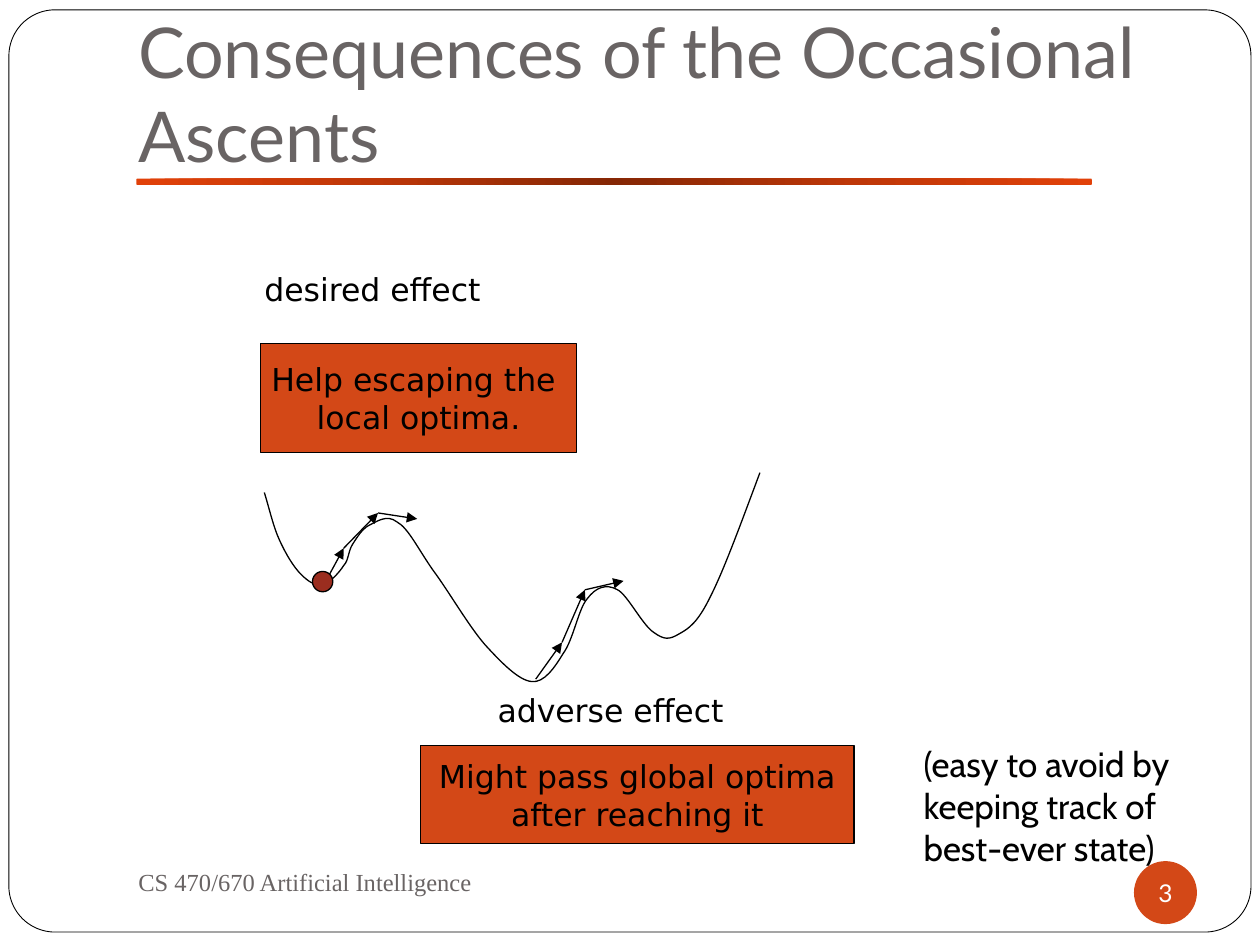
import itertools

import lxml.etree
import pptx
import pptx.dml.color
import pptx.enum.shapes
import pptx.enum.text
import pptx.oxml
import pptx.oxml.ns
import pptx.util

Cm, Pt = pptx.util.Cm, pptx.util.Pt
Shape = pptx.enum.shapes.MSO_SHAPE
Align = pptx.enum.text.PP_ALIGN
Anchor = pptx.enum.text.MSO_ANCHOR
qn = pptx.oxml.ns.qn

BLACK, WHITE, GRAY, ORANGE, RED = "000000", "FFFFFF", "696464", "D34817", "9B2D1F"

# Valley curve in cm: a start point, then two handles and an end per segment
CURVE_START = (5.33, 9.93)
CURVE = [
    ((5.44, 10.29), (5.51, 10.62), (5.64, 10.9)),
    ((5.77, 11.18), (5.92, 11.43), (6.07, 11.58)),
    ((6.22, 11.73), (6.35, 11.81), (6.5, 11.79)),
    ((6.63, 11.76), (6.83, 11.56), (6.93, 11.4)),
    ((7.04, 11.28), (7.01, 11.13), (7.11, 10.97)),
    ((7.19, 10.85), (7.29, 10.67), (7.44, 10.59)),
    ((7.59, 10.52), (7.8, 10.36), (8, 10.52)),
    ((8.23, 10.64), (8.43, 11.07), (8.74, 11.51)),
    ((9.04, 11.91), (9.45, 12.62), (9.78, 13)),
    ((10.11, 13.36), (10.46, 13.72), (10.72, 13.74)),
    ((10.97, 13.77), (11.18, 13.46), (11.35, 13.18)),
    ((11.56, 12.9), (11.66, 12.27), (11.84, 12.07)),
    ((12.01, 11.84), (12.22, 11.76), (12.45, 11.89)),
    ((12.65, 11.99), (12.95, 12.6), (13.18, 12.75)),
    ((13.39, 12.9), (13.49, 12.9), (13.69, 12.78)),
    ((13.89, 12.67), (14.07, 12.55), (14.33, 12.01)),
    ((14.6, 11.48), (14.96, 10.49), (15.32, 9.53)),
]
ASCENTS = [
    [(6.5, 11.84), (6.93, 11.05), (7.62, 10.34), (8.41, 10.46)],
    [(10.8, 13.69), (11.33, 12.95), (11.79, 11.89), (12.57, 11.71)],
]


def color(value):
    return pptx.dml.color.RGBColor.from_string(value)


def write(shape, text, *, font="DejaVu Sans", size=18, ink=BLACK, align=Align.LEFT,
          anchor=Anchor.TOP, wrap=False, grow=False, insets=(0.25, 0.13, 0.25, 0.13)):
    frame = shape.text_frame
    frame.word_wrap = wrap
    frame.vertical_anchor = anchor
    if grow:
        frame.auto_size = pptx.enum.text.MSO_AUTO_SIZE.SHAPE_TO_FIT_TEXT
    (frame.margin_left, frame.margin_top,
     frame.margin_right, frame.margin_bottom) = map(Cm, insets)
    for index, line in enumerate(text.split("\n")):
        para = frame.add_paragraph() if index else frame.paragraphs[0]
        para.alignment = align
        span = para.add_run()
        span.text = line
        span.font.name = font
        span.font.size = Pt(size)
        span.font.color.rgb = color(ink)


class Painter:
    line_width = 0.75

    def __init__(self, page):
        self.page = page

    def outline(self, shape, width=None):
        shape.line.color.rgb = color(BLACK)
        shape.line.width = Pt(width or self.line_width)

    def shape(self, kind, box, fill, line=True, width=None):
        shape = self.page.shapes.add_shape(kind, *map(Cm, box))
        shape.shadow.inherit = False
        shape.fill.solid()
        shape.fill.fore_color.rgb = color(fill)
        if line:
            self.outline(shape, width)
        else:
            shape.line.fill.background()
        return shape

    def text(self, box, text, **style):
        write(self.page.shapes.add_textbox(*map(Cm, box)), text, **style)

    def callout(self, box, text):
        write(self.shape(Shape.RECTANGLE, box, ORANGE), text,
              align=Align.CENTER, anchor=Anchor.MIDDLE)

    def radial_bar(self, box, stops):
        bar = self.shape(Shape.ROUNDED_RECTANGLE, box, stops[0][1], line=False)
        gradient = pptx.oxml.parse_xml(
            f'<a:gradFill {pptx.oxml.ns.nsdecls("a")}><a:gsLst/><a:path path="circle">'
            '<a:fillToRect l="50000" t="50000" r="50000" b="50000"/></a:path></a:gradFill>')
        for percent, value in stops:
            stop = lxml.etree.SubElement(gradient[0], qn("a:gs"), pos=str(percent * 1000))
            lxml.etree.SubElement(stop, qn("a:srgbClr"), val=value)
        properties = bar._element.spPr
        properties.replace(properties.find(qn("a:solidFill")), gradient)

    def curve(self, start, segments):
        builder = self.page.shapes.build_freeform(*map(Cm, start), scale=1.0)
        points = itertools.chain.from_iterable(segments)
        builder.add_line_segments([(Cm(x), Cm(y)) for x, y in points], close=False)
        curve = builder.convert_to_shape()
        curve.shadow.inherit = False
        curve.fill.background()
        self.outline(curve)
        # Join every three straight steps into one cubic segment
        route = next(curve._element.iter(qn("a:path")))
        steps = route.findall(qn("a:lnTo"))
        for first in range(0, len(steps), 3):
            cubic = lxml.etree.SubElement(route, qn("a:cubicBezTo"))
            for step in steps[first:first + 3]:
                cubic.append(step[0])
                route.remove(step)

    def arrow(self, start, end):
        arrow = self.page.shapes.add_connector(
            pptx.enum.shapes.MSO_CONNECTOR.STRAIGHT, *map(Cm, start + end))
        self.outline(arrow)
        properties = arrow._element.spPr
        lxml.etree.SubElement(properties.find(qn("a:ln")), qn("a:tailEnd"), type="triangle")
        lxml.etree.SubElement(properties, qn("a:effectLst"))


def main():
    deck = pptx.Presentation()
    deck.slide_width, deck.slide_height = Cm(25.4), Cm(19.05)
    painter = Painter(deck.slides.add_slide(deck.slide_layouts[6]))

    # Frame, title rule and page number
    frame = painter.shape(Shape.ROUNDED_RECTANGLE, (0.18, 0.2, 25.04, 18.59), WHITE, width=0.5)
    frame.adjustments[0] = 0.05
    painter.radial_bar((2.75, 3.6, 19.26, 0.13),
                       [(0, "852705"), (50, "BE3708"), (100, "E14109")])
    badge = painter.shape(Shape.OVAL, (22.86, 17.36, 1.27, 1.27), ORANGE, line=False)
    write(badge, "3", font="Lato", size=14, ink=WHITE, align=Align.CENTER,
          anchor=Anchor.MIDDLE, insets=(0, 0, 0, 0))

    # Title
    painter.text((2.54, 0.62, 21.59, 3.18), "Consequences of the Occasional Ascents",
                 font="Lato", size=40, ink=GRAY, anchor=Anchor.BOTTOM, wrap=True,
                 insets=(0.25, 0.13, 0.25, 0.25))

    # Search landscape with the ascents
    painter.curve(CURVE_START, CURVE)
    for ascent in ASCENTS:
        for start, end in itertools.pairwise(ascent):
            painter.arrow(start, end)

    # Effects
    painter.callout((5.25, 6.93, 6.38, 2.19), "Help escaping the \nlocal optima.")
    painter.text((5.08, 5.32, 6.3, 1.27), "desired effect", grow=True)
    painter.callout((8.48, 15.03, 8.74, 1.98), "Might pass global optima\n after reaching it ")
    painter.text((9.78, 13.8, 6.53, 1.27), "adverse effect", grow=True)
    painter.shape(Shape.OVAL, (6.3, 11.52, 0.41, 0.41), RED)

    # Remark and footer
    painter.text((18.37, 14.83, 5.87, 2.79),
                 "(easy to avoid by\nkeeping track of\nbest-ever state)",
                 font="Cabin", size=20, grow=True)
    painter.text((2.54, 17.13, 11, 1.27), "CS 470/670 Artificial Intelligence",
                 font="Times New Roman", size=14, ink=GRAY, anchor=Anchor.MIDDLE, wrap=True)

    deck.save("out.pptx")


if __name__ == "__main__":
    main()
